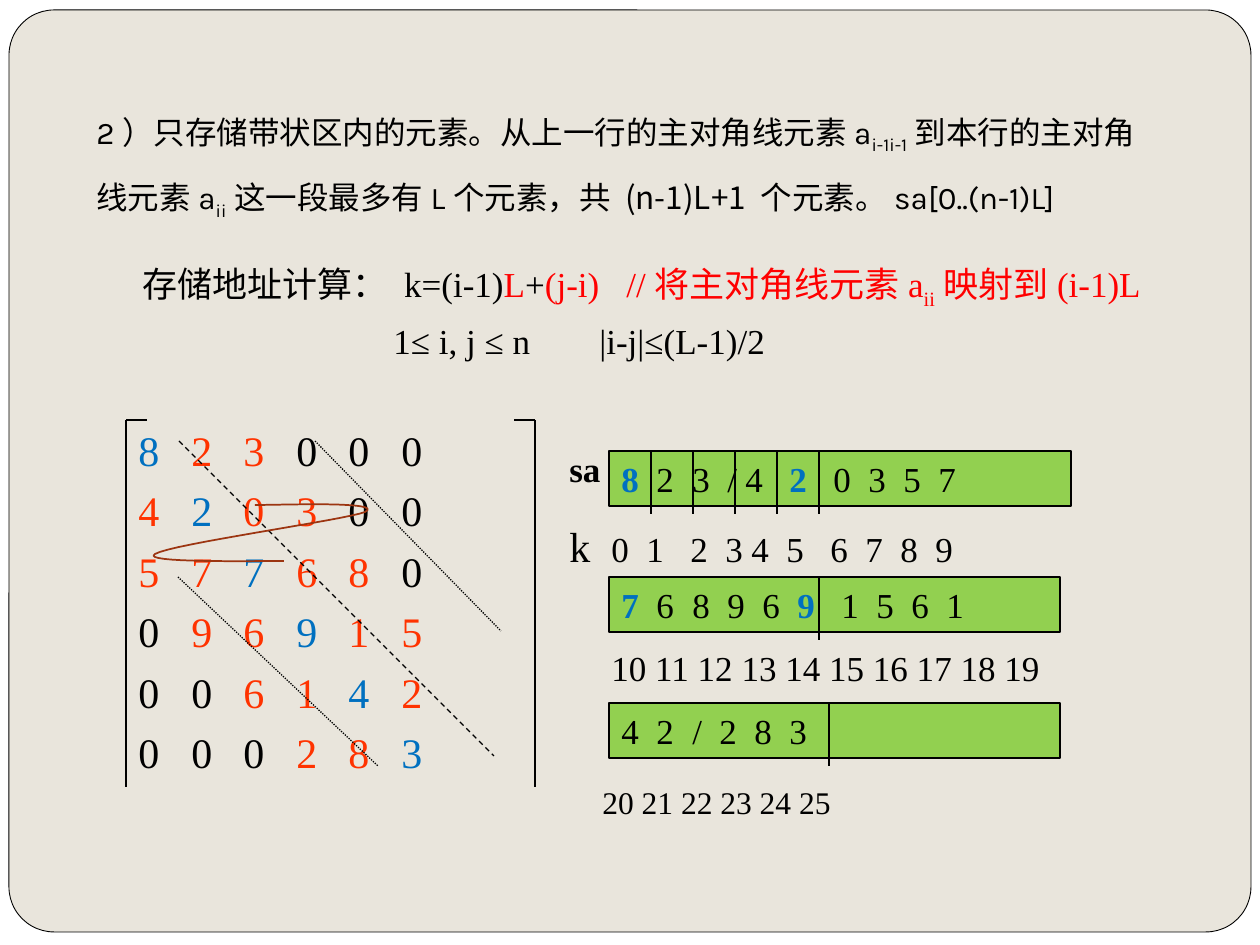
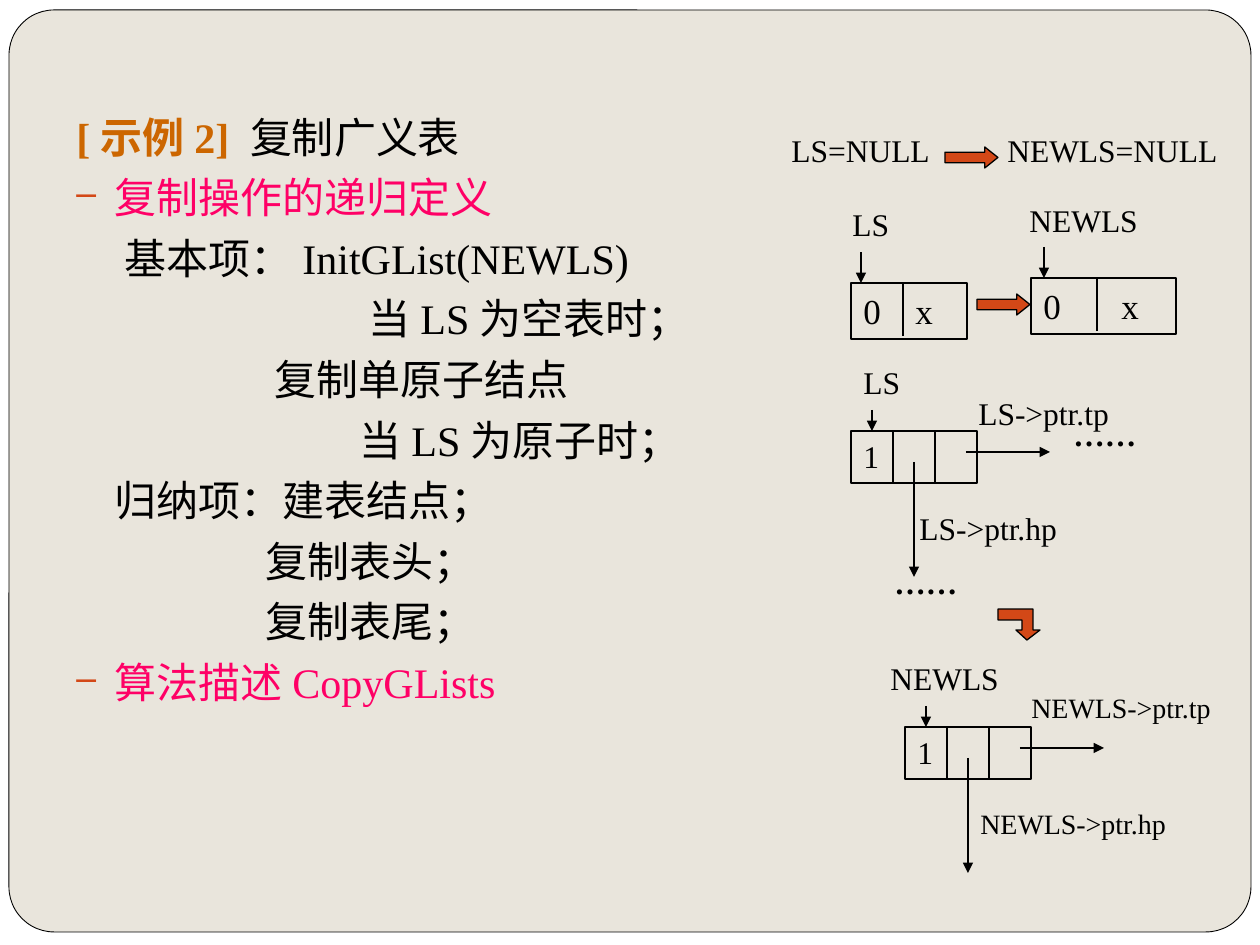
from dataclasses import dataclass
from typing import NamedTuple, Optional, Sequence

from lxml import etree
from pptx import Presentation
from pptx.dml.color import RGBColor
from pptx.enum.dml import MSO_LINE
from pptx.enum.shapes import MSO_CONNECTOR, MSO_SHAPE
from pptx.enum.text import MSO_ANCHOR, PP_ALIGN
from pptx.oxml.ns import qn
from pptx.util import Emu, Pt

SCALE = 914400 / 126
BLANK_LAYOUT = 6

RECTANGLE = MSO_SHAPE.RECTANGLE
ROUNDED = MSO_SHAPE.ROUNDED_RECTANGLE
RIGHT_ARROW = MSO_SHAPE.RIGHT_ARROW
STRAIGHT = MSO_CONNECTOR.STRAIGHT
DASH = MSO_LINE.DASH
DOTS = MSO_LINE.ROUND_DOT
TOP = MSO_ANCHOR.TOP
MIDDLE = MSO_ANCHOR.MIDDLE
LEFT = PP_ALIGN.LEFT

BLACK = RGBColor(0x00, 0x00, 0x00)
WHITE = RGBColor(0xFF, 0xFF, 0xFF)
PAPER = RGBColor(0xE9, 0xE5, 0xDC)
GREEN = RGBColor(0x92, 0xD0, 0x50)
BLUE = RGBColor(0x00, 0x70, 0xC0)
RED = RGBColor(0xFF, 0x00, 0x00)
ORANGE = RGBColor(0xFF, 0x33, 0x00)
OCHRE = RGBColor(0xCC, 0x66, 0x00)
PINK = RGBColor(0xFF, 0x00, 0x66)
RUST = RGBColor(0xD3, 0x48, 0x17)
BROWN = RGBColor(0x9C, 0x35, 0x11)

SERIF = "Times New Roman"
TITLE_FONT = "Karla"
FORMULA_FONT = "Noto Sans CJK SC"
BODY_LEADING = 28.8
BODY_GAP = 5.8

MATRIX = ["823000", "420300", "577680", "096915", "006142", "000283"]
HALF_BAND = 2
COLUMN_STOPS = [105 * column // 2 for column in range(1, 7)]


class Area(NamedTuple):
    left: int
    top: int
    width: int
    height: int


class Span(NamedTuple):
    text: str
    color: Optional[RGBColor] = None
    bold: Optional[bool] = None
    font: Optional[str] = None
    size: Optional[int] = None
    lowered: bool = False


@dataclass
class Para:
    spans: Sequence[Span]
    size: int = 24
    font: str = SERIF
    leading: Optional[float] = None
    before: float = 0
    indent: int = 0
    stops: Sequence[int] = ()
    bullet: bool = False


class Label(NamedTuple):
    text: str
    area: Area
    size: int = 18
    bold: Optional[bool] = None
    stops: Sequence[int] = ()


class ArrayRow(NamedTuple):
    area: Area
    values: str
    stops: Sequence[int]
    diagonal: Sequence[int]
    dividers: Sequence[int]


class Atom(NamedTuple):
    area: Area
    split: int
    value_stop: int
    pointer: int


def px(length: float) -> Emu:
    return Emu(round(length * SCALE))


def style_shape(shape, fill=None, line=BLACK, width=0.75) -> None:
    shape.shadow.inherit = False
    if fill is None:
        shape.fill.background()
    else:
        shape.fill.solid()
        shape.fill.fore_color.rgb = fill
    shape.line.color.rgb = line
    shape.line.width = Pt(width)


def add_box(page, kind, area: Area, fill=None, width=0.75):
    shape = page.shapes.add_shape(kind, *map(px, area))
    style_shape(shape, fill, width=width)
    return shape


def add_line(page, start, end, dash=None, arrow=False) -> None:
    line = page.shapes.add_connector(STRAIGHT, *map(px, (*start, *end)))
    line.line.color.rgb = BLACK
    line.line.width = Pt(0.75)
    if dash is not None:
        line.line.dash_style = dash
    if arrow:
        etree.SubElement(line.line._get_or_add_ln(), qn("a:tailEnd"), type="triangle")
    etree.SubElement(line._element.spPr, qn("a:effectLst"))


def add_outline(page, points, closed, fill, line, width=0.75) -> None:
    first, *rest = [(px(x), px(y)) for x, y in points]
    builder = page.shapes.build_freeform(*first, scale=1.0)
    builder.add_line_segments(rest, close=closed)
    style_shape(builder.convert_to_shape(), fill, line, width)


def format_para(paragraph, para: Para) -> None:
    properties = paragraph._p.get_or_add_pPr()
    if para.stops:
        tabs = etree.SubElement(properties, qn("a:tabLst"))
        for stop in para.stops:
            etree.SubElement(tabs, qn("a:tab"), pos=str(px(stop)), algn="l")
    else:
        hang = 38 if para.bullet else 0
        properties.set("marL", str(px(para.indent + hang)))
        properties.set("indent", str(-px(hang)))
    if para.bullet:
        color = etree.SubElement(properties, qn("a:buClr"))
        etree.SubElement(color, qn("a:srgbClr"), val=str(RUST))
        etree.SubElement(properties, qn("a:buSzPct"), val="85000")
        etree.SubElement(properties, qn("a:buChar"), char="–")
    paragraph.alignment = LEFT
    paragraph.space_before = Pt(para.before)
    if para.leading:
        paragraph.line_spacing = Pt(para.leading)
    paragraph.font.name = para.font
    paragraph.font.size = Pt(para.size)
    paragraph.font.color.rgb = BLACK


def write(shape, paras: Sequence[Para], anchor=TOP) -> None:
    frame = shape.text_frame
    frame.word_wrap = True
    frame.vertical_anchor = anchor
    for number, para in enumerate(paras):
        paragraph = frame.add_paragraph() if number else frame.paragraphs[0]
        format_para(paragraph, para)
        for span in para.spans:
            run = paragraph.add_run()
            run.text = span.text
            run.font.color.rgb = span.color or BLACK
            if span.bold:
                run.font.bold = True
            if span.font:
                run.font.name = span.font
            if span.size:
                run.font.size = Pt(span.size)
            if span.lowered:
                run._r.get_or_add_rPr().set("baseline", "-25000")


def add_text(page, area: Area, paras: Sequence[Para], anchor=TOP) -> None:
    write(page.shapes.add_textbox(*map(px, area)), paras, anchor)


def add_label(page, label: Label) -> None:
    span = Span(label.text, bold=label.bold)
    add_text(page, label.area, [Para([span], label.size, stops=label.stops)])


def add_page(deck):
    page = deck.slides.add_slide(deck.slide_layouts[BLANK_LAYOUT])
    page.background.fill.solid()
    page.background.fill.fore_color.rgb = WHITE
    panel = add_box(page, ROUNDED, Area(9, 10, 1242, 922), PAPER, 0.5)
    panel.adjustments[0] = 0.049
    return page


def matrix_para(row: int, digits: str) -> Para:
    spans = []
    for column, digit in enumerate(digits):
        distance = abs(row - column)
        color = BLUE if distance == 0 else ORANGE if distance <= HALF_BAND else BLACK
        spans.append(Span("\t" + digit, color))
    before = BODY_GAP if row else 35.5
    return Para(spans, leading=BODY_LEADING, before=before, stops=COLUMN_STOPS)


def add_array_row(page, row: ArrayRow) -> None:
    spans = []
    for index, value in enumerate(row.values):
        text = "\t" + value if index else value
        marked = index in row.diagonal
        spans.append(Span(text, BLUE if marked else BLACK, marked))
    write(add_box(page, RECTANGLE, row.area, GREEN), [Para(spans, 20, stops=row.stops)])
    for x in row.dividers:
        add_line(page, (x, row.area.top), (x, row.area.top + 63))


def bezier(start, first, second, end, steps=16):
    for step in range(1, steps + 1):
        t = step / steps
        u = 1 - t
        weights = (u ** 3, 3 * u * u * t, 3 * u * t * t, t ** 3)
        yield tuple(sum(w * point[axis] for w, point in zip(weights, (start, first, second, end)))
                    for axis in (0, 1))


def build_band_page(deck) -> None:
    page = add_page(deck)
    title = [
        Span("2）只存储带状区内的元素。从上一行的主对角线元素a"),
        Span("i-1i-1", lowered=True),
        Span("到本行的主对角线元素a"),
        Span("ii", lowered=True),
        Span("这一段最多有L个元素，共 "),
        Span("(n-1)L+1 ", font=FORMULA_FONT),
        Span("个元素。sa[0..(n-1)L]"),
    ]
    add_text(page, Area(84, 83, 1071, 145),
             [Para(title, 18, TITLE_FONT, leading=37.5)], MIDDLE)
    formula = [
        Span("\t存储地址计算： k=(i-1)"), Span("L", RED), Span("+"),
        Span("(j-i)\t//将主对角线元素a", RED), Span("ii", RED, lowered=True),
        Span("映射到(i-1)L", RED),
    ]
    limits = [Span("\t1≤ i, j ≤ n\t|i-j|≤(L-1)/2")]
    add_text(page, Area(74, 249, 1144, 640), [
        Para(formula, 20, leading=31.6, stops=(56, 540)),
        Para(limits, 20, leading=23.6, before=BODY_GAP, stops=(307, 513)),
        *(matrix_para(row, digits) for row, digits in enumerate(MATRIX)),
    ])
    for x, inner in ((126, 147), (535, 514)):
        add_line(page, (x, 420), (x, 787))
        add_line(page, (x, 420), (inner, 420))
    add_line(page, (315, 441), (501, 631), DOTS)
    add_line(page, (178, 577), (378, 766), DOTS)
    for row in (
        ArrayRow(Area(609, 451, 462, 55), "823/420357",
                 (35, 71, 106, 124, 168, 212, 247, 282, 317), (0, 5),
                 (651, 693, 735, 777, 819)),
        ArrayRow(Area(609, 577, 451, 55), "7689691561",
                 (35, 71, 106, 141, 176, 220, 255, 290, 325), (0, 5), (819,)),
        ArrayRow(Area(609, 703, 451, 55), "42/283", (35, 71, 98, 133, 168), (), (829,)),
    ):
        add_array_row(page, row)
    add_line(page, (179, 441), (494, 756), DASH)
    add_label(page, Label("sa", Area(557, 441, 63, 55), 20, True))
    indices = [Span("k"), *(Span(f"\t{index}", size=20) for index in range(10))]
    add_text(page, Area(557, 514, 514, 63),
             [Para(indices, stops=(42, 77, 121, 156, 182, 217, 261, 296, 331, 366))])
    for first, last, area, size in ((10, 20, Area(599, 640, 483, 55), 20),
                                    (20, 26, Area(590, 777, 305, 50), 18)):
        add_label(page, Label(" ".join(map(str, range(first, last))), area, size))
    knots = [(255, 505), (281, 505), (386, 501), (365, 512), (345, 520), (171, 544),
             (155, 554), (139, 563), (253, 561), (284, 561)]
    curve = [knots[0]]
    for start in range(0, 9, 3):
        curve.extend(bezier(*knots[start:start + 4]))
    add_outline(page, curve, False, None, BROWN, 1)


def add_atom(page, atom: Atom) -> None:
    left, top = atom.area.left, atom.area.top
    box = add_box(page, RECTANGLE, atom.area)
    write(box, [Para([Span("0\tx")], 20, stops=(atom.value_stop,))])
    add_line(page, (left + atom.split, top), (left + atom.split, top + 53))
    add_line(page, (left + atom.pointer, top - 31), (left + atom.pointer, top), arrow=True)


def add_list_node(page, left: int, top: int) -> None:
    write(add_box(page, RECTANGLE, Area(left, top, 126, 52)), [Para([Span("1")], 18)])
    for split in (42, 84):
        add_line(page, (left + split, top), (left + split, top + 52))
    for x1, y1, x2, y2 in ((63, 31, 63, 146), (115, 21, 199, 21), (21, -21, 21, 0)):
        add_line(page, (left + x1, top + y1), (left + x2, top + y2), arrow=True)


def body_para(text: str, indent=0) -> Para:
    return Para([Span(text)], leading=BODY_LEADING, before=BODY_GAP, indent=indent)


def bullet_para(text: str) -> Para:
    return Para([Span(text, PINK)], leading=BODY_LEADING, before=BODY_GAP, bullet=True)


def build_copy_page(deck) -> None:
    page = add_page(deck)
    add_text(page, Area(64, 105, 753, 675), [
        Para([Span("[示例2] ", OCHRE, True), Span("复制广义表")], leading=BODY_LEADING),
        bullet_para("复制操作的递归定义"),
        body_para("基本项：InitGList(NEWLS)", 48),
        body_para("当LS为空表时；", 292),
        body_para("复制单原子结点", 198),
        body_para("当LS为原子时；", 283),
        body_para("归纳项：建表结点；", 38),
        body_para("复制表头；", 189),
        body_para("复制表尾；", 189),
        bullet_para("算法描述CopyGLists"),
    ])
    for left, top in ((905, 727), (851, 431)):
        add_list_node(page, left, top)
    for atom in (Atom(Area(851, 283, 116, 56), 52, 52, 10),
                 Atom(Area(1031, 278, 145, 56), 66, 78, 13)):
        add_atom(page, atom)
    for left, top in ((945, 147), (977, 294)):
        arrow = add_box(page, RIGHT_ARROW, Area(left, top, 53, 21), RUST)
        arrow.adjustments[0] = 0.5
        arrow.adjustments[1] = 0.625
    for label in (
        Label("LS=NULL\tNEWLS=NULL", Area(779, 125, 456, 50), stops=(216,)),
        Label("LS", Area(840, 199, 126, 50)),
        Label("NEWLS", Area(1017, 195, 159, 50)),
        Label("LS", Area(851, 357, 73, 50)),
        Label("LS->ptr.tp", Area(966, 388, 190, 50)),
        Label("LS->ptr.hp", Area(907, 503, 198, 50)),
        Label("……", Area(1061, 409, 136, 63), bold=True),
        Label("……", Area(882, 557, 147, 63), bold=True),
        Label("NEWLS", Area(878, 653, 142, 50)),
        Label("NEWLS->ptr.tp", Area(1019, 684, 215, 47), 16),
        Label("NEWLS->ptr.hp", Area(968, 800, 228, 47), 16),
    ):
        add_label(page, label)
    bent_arrow = [(1027, 640), (1016, 630), (1022, 630), (1022, 620), (998, 620),
                  (998, 609), (1033, 609), (1033, 630), (1040, 630)]
    add_outline(page, bent_arrow, True, RUST, BLACK)


def main() -> None:
    deck = Presentation()
    deck.slide_width = px(1260)
    deck.slide_height = px(945)
    build_band_page(deck)
    build_copy_page(deck)
    deck.save("out.pptx")


if __name__ == "__main__":
    main()
